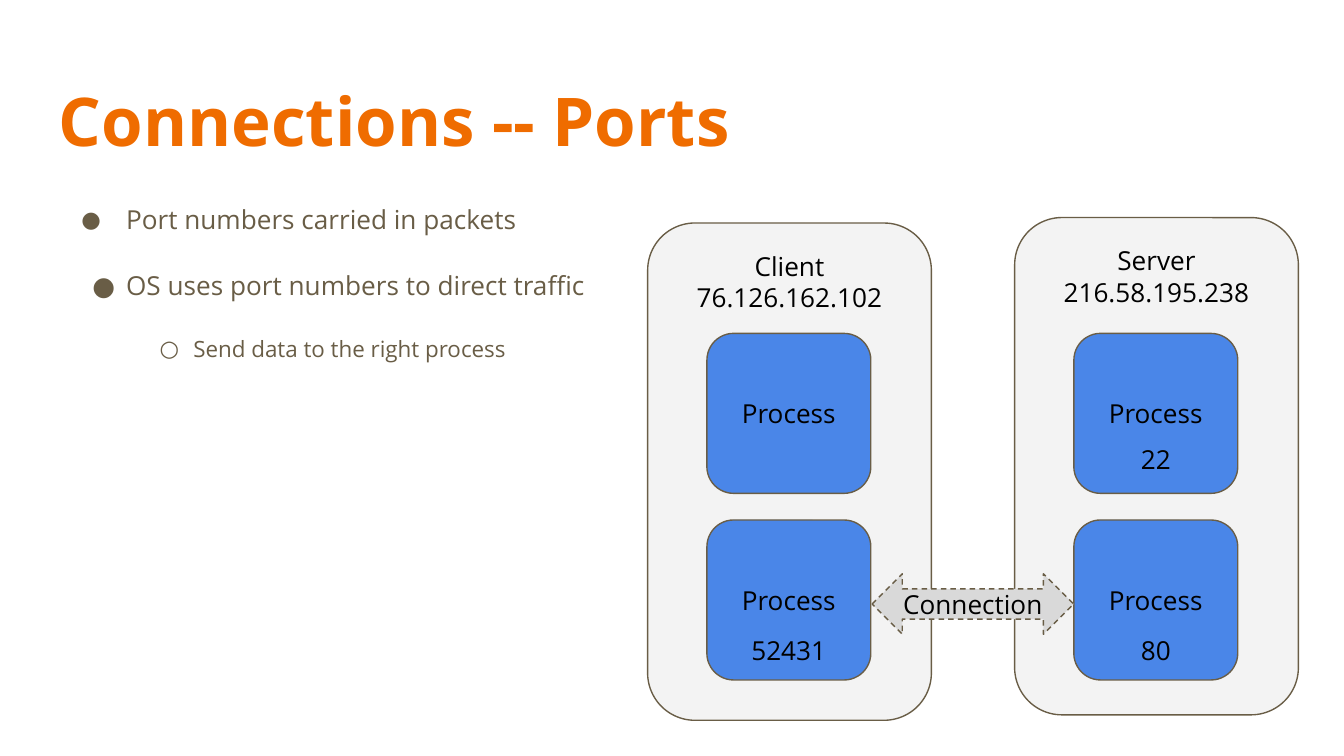
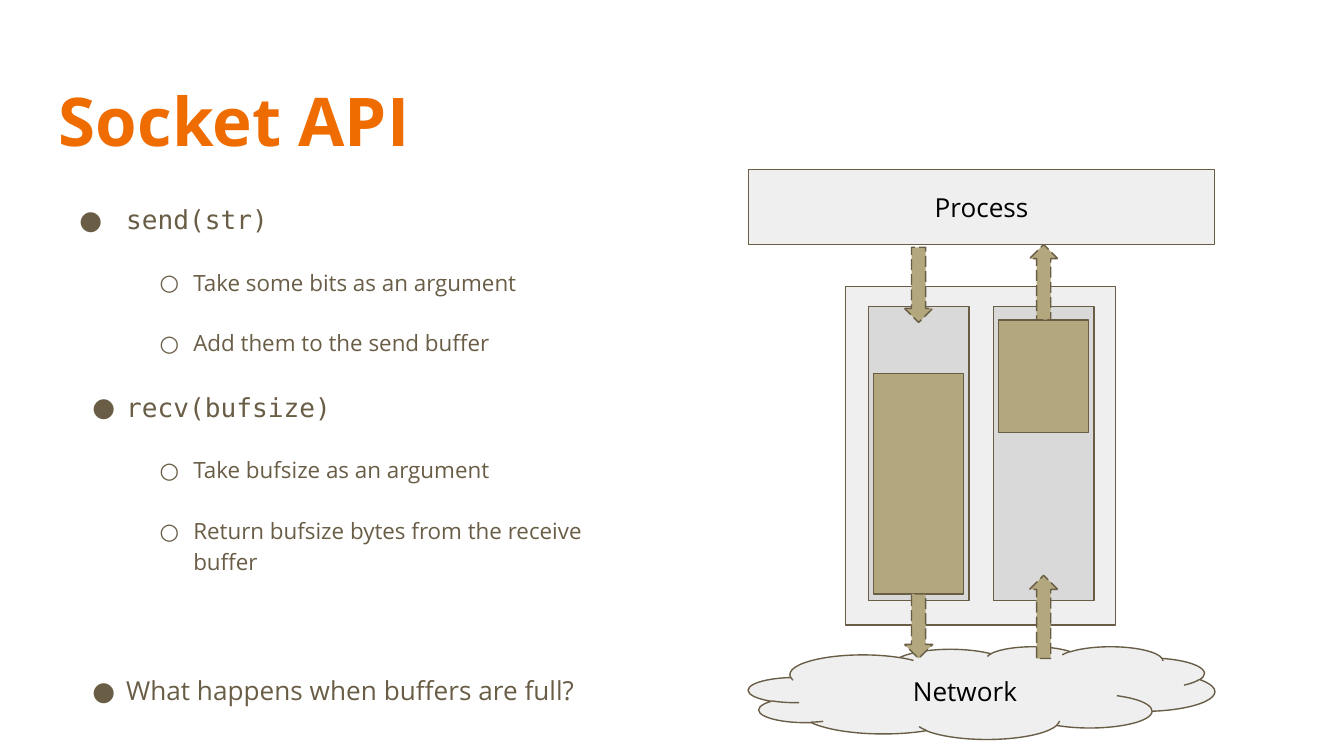
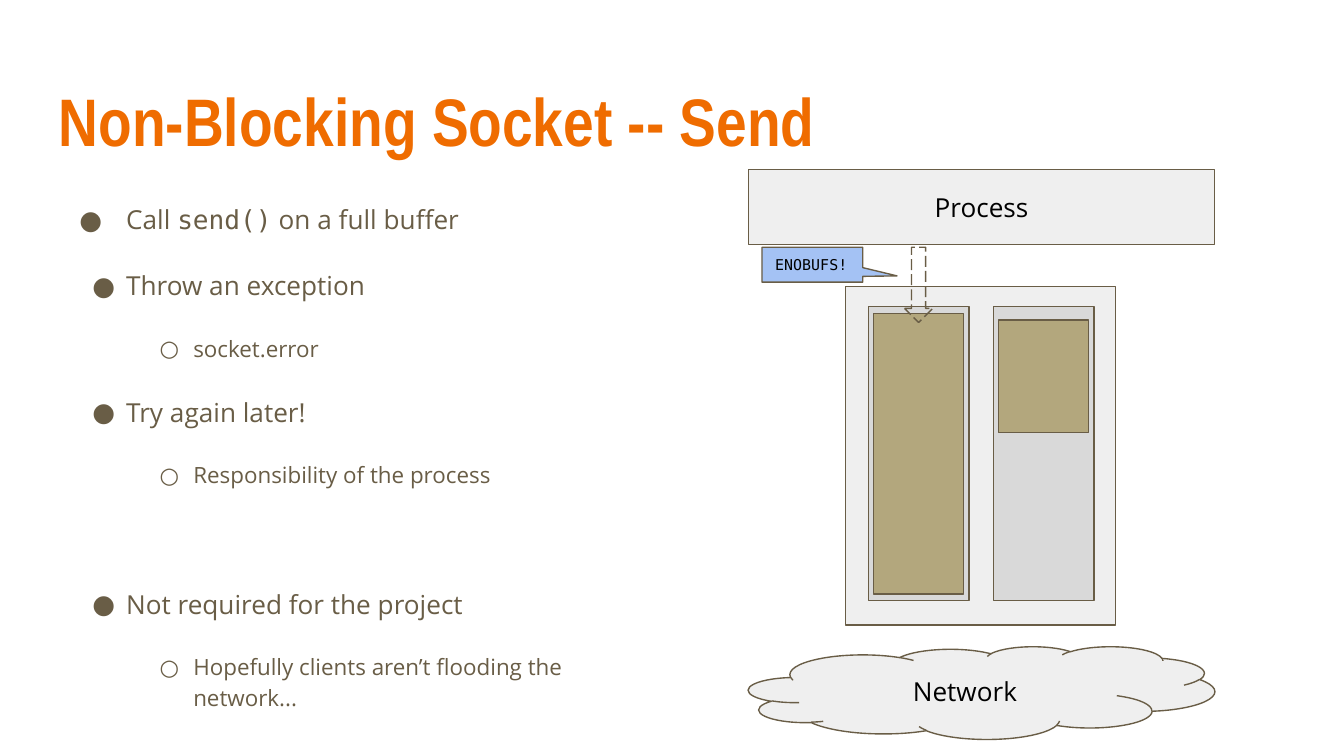
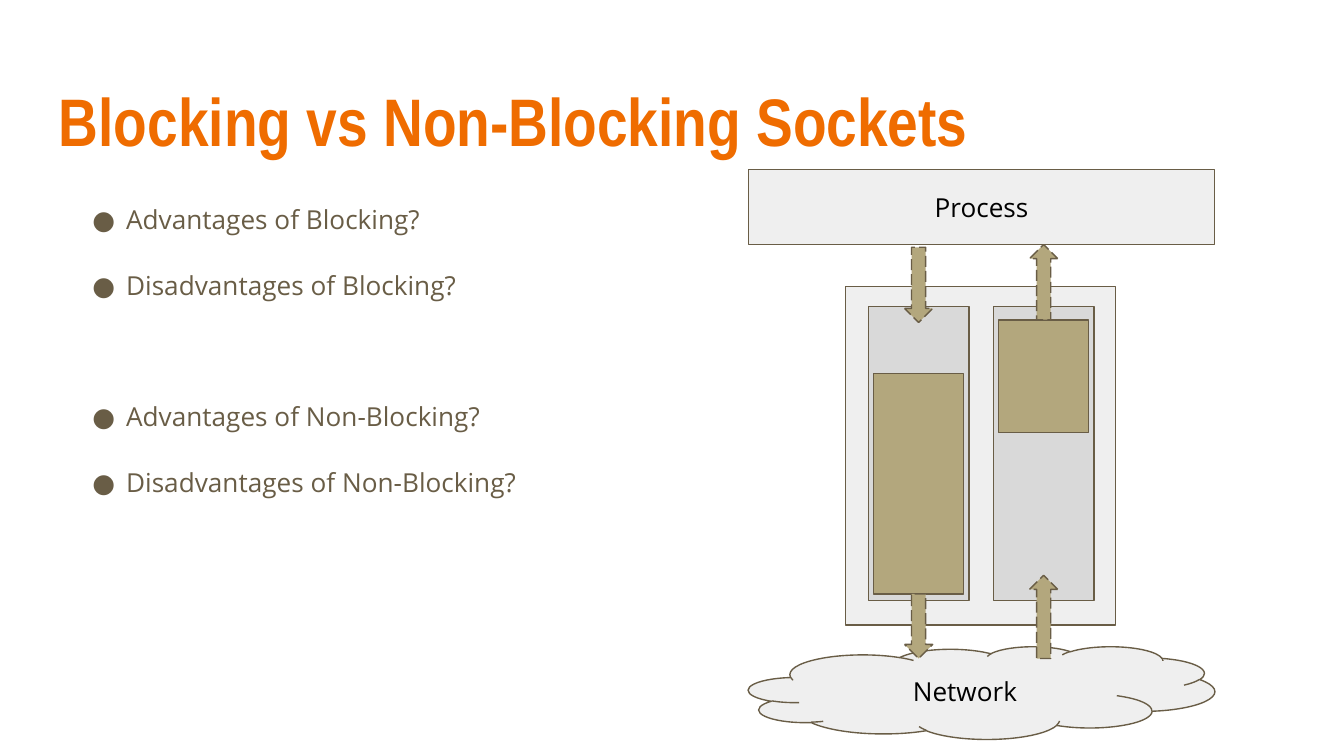
"""Builds four slides about ports, socket buffers and blocking."""
from dataclasses import dataclass

from lxml import etree
from pptx import Presentation
from pptx.dml.color import RGBColor
from pptx.enum import dml, shapes, text
from pptx.oxml.ns import qn
from pptx.util import Pt

FORM = shapes.MSO_SHAPE
DASH = dml.MSO_LINE


@dataclass(frozen=True)
class Theme:
    sans: str = "Open Sans"
    mono: str = "DejaVu Sans Mono"
    slim: str = "Arial Narrow"
    title: str = "EF6C00"
    brown: str = "695D46"
    black: str = "000000"
    host: str = "F3F3F3"
    blue: str = "4A86E8"
    pale: str = "A4C2F4"
    light: str = "EFEFEF"
    grey: str = "D9D9D9"
    khaki: str = "B3A77D"
    head: int = 36
    main: int = 14
    sub: int = 12
    tiny: int = 8
    inset: float = 7.2


@dataclass(frozen=True)
class Item:
    words: str
    level: int = 0
    hang: float = 18
    gap: int = 0
    scale: int = 100


class Deck:
    def __init__(self, theme):
        self.theme = theme
        self.prs = Presentation()
        self.prs.slide_width, self.prs.slide_height = Pt(720), Pt(405)
        self.slide = None

    def start(self, title, items, font):
        self.slide = self.prs.slides.add_slide(self.prs.slide_layouts[6])
        theme = self.theme
        frame = self.frame(24.5, 35.3, 671, 55.4)
        frame.text = title
        self.style(frame, theme.head, theme.title, font, bold=True)
        self.body(items)

    def frame(self, x, y, w, h):
        box = self.slide.shapes.add_textbox(Pt(x), Pt(y), Pt(w), Pt(h))
        self.pad(box.text_frame)
        return box.text_frame

    def pad(self, frame):
        inset = Pt(self.theme.inset)
        frame.margin_left = frame.margin_right = inset
        frame.margin_top = frame.margin_bottom = inset
        frame.word_wrap = True

    def style(self, frame, size, color, font, align=text.PP_ALIGN.LEFT, bold=False):
        for para in frame.paragraphs:
            para.alignment = align
            for run in para.runs:
                self.ink(run, size, color, font, bold)

    def ink(self, run, size, color, font, bold=False):
        run.font.size, run.font.name, run.font.bold = Pt(size), font, bold
        run.font.color.rgb = RGBColor.from_string(color)

    def body(self, items):
        theme = self.theme
        frame = self.frame(24.5, 99.4, 314.6, 260)
        for i, item in enumerate(items):
            para = frame.add_paragraph() if i else frame.paragraphs[0]
            para.level = item.level
            para.line_spacing = 1.15
            para.space_before, para.space_after = Pt(item.gap), Pt(16)
            self.bullet(para, item)
            size = theme.sub if item.level else theme.main
            for k, part in enumerate(item.words.split("`")):
                if part:
                    run = para.add_run()
                    run.text = part
                    self.ink(run, size, theme.brown, theme.mono if k % 2 else theme.sans)

    def bullet(self, para, item):
        props = para._p.get_or_add_pPr()
        props.set("marL", str(Pt(36 * (item.level + 1))))
        props.set("indent", str(-Pt(item.hang)))
        color = etree.SubElement(props, qn("a:buClr"))
        etree.SubElement(color, qn("a:srgbClr"), val=self.theme.brown)
        etree.SubElement(props, qn("a:buSzPct"), val=str(item.scale * 1000))
        etree.SubElement(props, qn("a:buFont"), typeface=self.theme.sans)
        etree.SubElement(props, qn("a:buChar"), char="○" if item.level else "●")

    def shape(self, form, x, y, w, h, fill=None, dash=None):
        item = self.slide.shapes.add_shape(form, Pt(x), Pt(y), Pt(w), Pt(h))
        item.shadow.inherit = False
        if fill:
            item.fill.solid()
            item.fill.fore_color.rgb = RGBColor.from_string(fill)
        else:
            item.fill.background()
        item.line.color.rgb = RGBColor.from_string(self.theme.brown)
        item.line.width = Pt(0.75)
        if dash:
            item.line.dash_style = dash
        return item

    def label(self, item, words, top=False):
        theme, frame = self.theme, item.text_frame
        self.pad(frame)
        anchor = text.MSO_ANCHOR
        frame.vertical_anchor = anchor.TOP if top else anchor.MIDDLE
        frame.text = words
        self.style(frame, theme.main, theme.black, theme.sans, text.PP_ALIGN.CENTER)

    def host(self, x, y, words, ports):
        theme = self.theme
        box = self.shape(FORM.ROUNDED_RECTANGLE, x, y, 152, 266.4, theme.host)
        self.label(box, words, top=True)
        left, wide = x + 31.7, 87.8
        for row, (port, drop) in enumerate(ports):
            top = 178.6 + 100 * row
            box = self.shape(FORM.ROUNDED_RECTANGLE, left, top, wide, 85.7, theme.blue)
            self.label(box, "Process")
            if port:
                frame = self.frame(left + 10, top + drop, wide - 20, 27.4)
                frame.text = port
                self.style(frame, theme.main, theme.black, theme.sans, text.PP_ALIGN.CENTER)

    def lane(self, mid, wide, y, h, fill, form=FORM.RECTANGLE, dash=None):
        return self.shape(form, mid - wide / 2, y, wide, h, fill, dash)

    def arrow(self, mid, y, h, up=False, fill=None):
        item = self.lane(mid, 15.1, y, h, fill, FORM.DOWN_ARROW, DASH.LONG_DASH)
        item.rotation = 180 if up else 0

    def stack(self, full=False):
        theme = self.theme
        send, recv = 492.1, 559.1
        self.shape(FORM.RECTANGLE, 452.9, 153.4, 144.7, 181.4, theme.light)
        for mid in (send, recv):
            self.lane(mid, 54, 164.2, 157.7, theme.grey)
        top = 167.8 if full else 200.2
        self.lane(send, 48.2, top, 318.3 - top, theme.khaki)
        self.lane(recv, 48.2, 171.4, 60.5, theme.khaki)
        ends = (("Network", FORM.CLOUD, 346.3, 49.7),
                ("Process", FORM.RECTANGLE, 90.7, 40.3))
        for words, form, y, h in ends:
            self.label(self.shape(form, 401, y, 249.8, h, theme.light), words)
        self.arrow(send, 132.5, 40.3, fill=None if full else theme.khaki)
        if not full:
            self.arrow(send, 318.2, 34.6, fill=theme.khaki)
            for y, h in ((308.2, 44.6), (131, 40.3)):
                self.arrow(recv, y, h, up=True, fill=theme.khaki)

    def callout(self, words):
        theme = self.theme
        item = self.shape(FORM.ROUNDED_RECTANGULAR_CALLOUT, 408.2, 132.5, 54, 18.7, theme.pale)
        for i, value in enumerate((0.84, 0.32, 0)):
            item.adjustments[i] = value
        self.label(item, words)
        self.style(item.text_frame, theme.tiny, theme.black, theme.mono)


def main():
    theme = Theme()
    deck = Deck(theme)

    deck.start("Connections -- Ports", [
        Item("Port numbers carried in packets", hang=24, scale=86),
        Item("OS uses port numbers to direct traffic"),
        Item("Send data to the right process", 1),
    ], theme.sans)
    deck.host(347, 119.5, "Client\n76.126.162.102", (("", 0), ("52431", 54)))
    deck.host(543.6, 116.6, "Server\n216.58.195.238", (("22", 51.8), ("80", 54)))
    link = deck.shape(FORM.LEFT_RIGHT_ARROW, 467.2, 307.4, 108, 32.4, theme.grey, DASH.DASH)
    deck.label(link, "Connection")

    deck.start("Socket API", [
        Item("`send(str)`", hang=25),
        Item("Take some bits as an argument", 1),
        Item("Add them to the send buffer", 1),
        Item("`recv(bufsize)`"),
        Item("Take bufsize as an argument", 1),
        Item("Return bufsize bytes from the receive buffer", 1),
        Item("What happens when buffers are full?", gap=35),
    ], theme.sans)
    deck.stack()

    deck.start("Non-Blocking Socket -- Send", [
        Item("Call `send()` on a full buffer", hang=25),
        Item("Throw an exception"),
        Item("socket.error", 1),
        Item("Try again later!"),
        Item("Responsibility of the process", 1),
        Item("Not required for the project", gap=35),
        Item("Hopefully clients aren’t flooding the network...", 1),
    ], theme.slim)
    deck.stack(full=True)
    deck.callout("ENOBUFS!")

    deck.start("Blocking vs Non-Blocking Sockets", [
        Item("Advantages of Blocking?"),
        Item("Disadvantages of Blocking?"),
        Item("Advantages of Non-Blocking?", gap=35),
        Item("Disadvantages of Non-Blocking?"),
    ], theme.slim)
    deck.stack()

    deck.prs.save("out.pptx")


if __name__ == "__main__":
    main()
